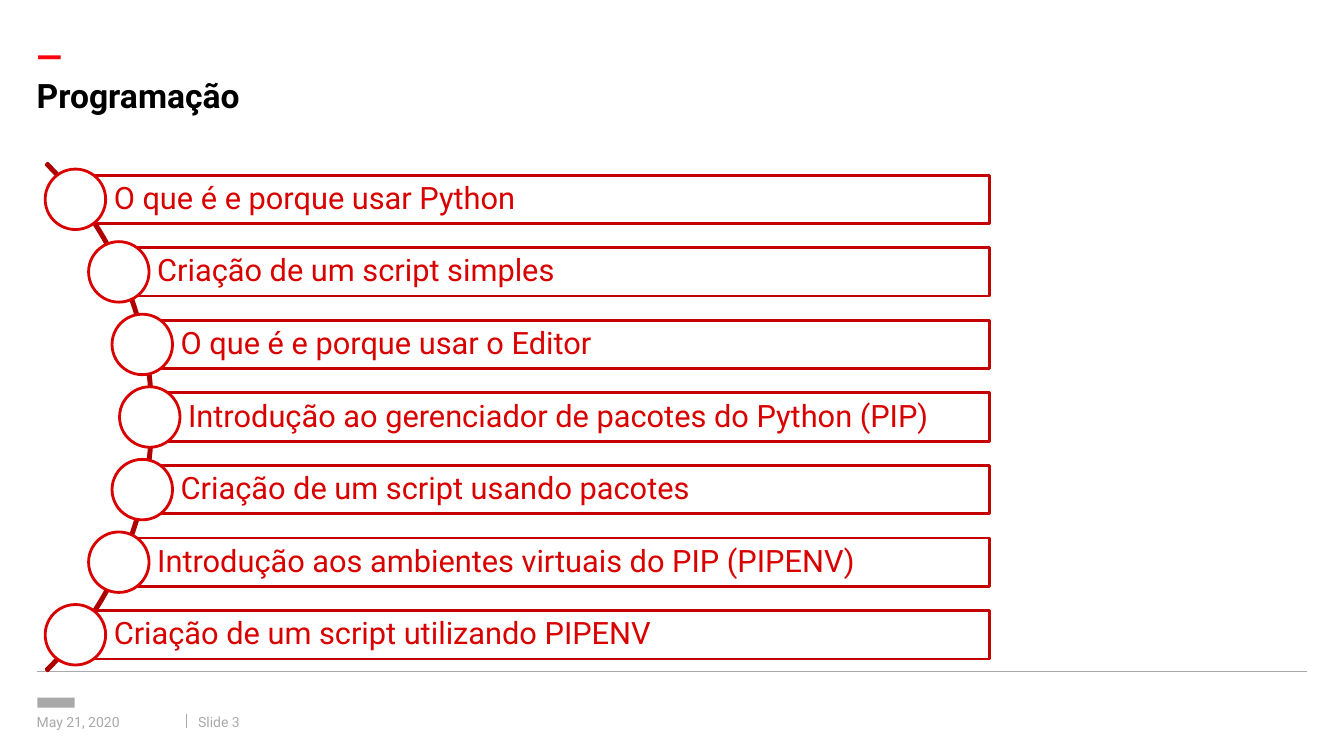
from math import sqrt

from lxml.etree import SubElement
from pptx import Presentation
from pptx.dml.color import RGBColor
from pptx.enum.shapes import MSO_CONNECTOR, MSO_SHAPE
from pptx.enum.text import MSO_ANCHOR, MSO_AUTO_SIZE, PP_ALIGN
from pptx.oxml.ns import qn
from pptx.util import Pt

FONT = "Roboto"
BLACK = RGBColor(0x00, 0x00, 0x00)
WHITE = RGBColor(0xFF, 0xFF, 0xFF)
GREY = RGBColor(0xA9, 0xA9, 0xA9)
ACCENT = RGBColor(0xFF, 0x00, 0x0F)
TOPIC_RED = RGBColor(0xD9, 0x00, 0x00)
BAR_RED = RGBColor(0xC5, 0x00, 0x00)
ARC_RED = RGBColor(0xAE, 0x00, 0x00)

TOPICS = [
    "O que é e porque usar Python",
    "Criação de um script simples",
    "O que é e porque usar o Editor",
    "Introdução ao gerenciador de pacotes do Python (PIP)",
    "Criação de um script usando pacotes",
    "Introdução aos ambientes virtuais do PIP (PIPENV)",
    "Criação de um script utilizando PIPENV",
]

ARC_X, ARC_Y = -147.2, 297.9
ARC_SIZE = 512.64
TRACK_RADIUS = 254.2
TOPIC_STEP = 51.84
BAR_RIGHT = 707.04
BAR_HEIGHT = 34.56
CIRCLE_SIZE = 43.2


def write(shape, text, size, color, bold=False, insets=(0, 0, 0, 0),
          anchor=MSO_ANCHOR.MIDDLE, spacing=1.0):
    frame = shape.text_frame
    frame.word_wrap = True
    frame.auto_size = MSO_AUTO_SIZE.NONE
    frame.vertical_anchor = anchor
    (frame.margin_left, frame.margin_top,
     frame.margin_right, frame.margin_bottom) = map(Pt, insets)
    paragraph = frame.paragraphs[0]
    paragraph.alignment = PP_ALIGN.LEFT
    paragraph.line_spacing = spacing
    run = paragraph.add_run()
    run.text = text
    run.font.name = FONT
    run.font.size = Pt(size)
    run.font.bold = bold
    run.font.color.rgb = color


def add_label(slide, text, left, top, width, height, **style):
    label = slide.shapes.add_textbox(Pt(left), Pt(top), Pt(width), Pt(height))
    write(label, text, **style)


def add_figure(slide, preset, left, top, width, height, fill=None, line=None):
    figure = slide.shapes.add_shape(
        preset, Pt(left), Pt(top), Pt(width), Pt(height))
    figure.shadow.inherit = False
    if fill is None:
        figure.fill.background()
    else:
        figure.fill.solid()
        figure.fill.fore_color.rgb = fill
    if line is None:
        figure.line.fill.background()
    else:
        figure.line.color.rgb = line
        figure.line.width = Pt(2)
    return figure


def add_rule(slide, x1, y1, x2, y2):
    rule = slide.shapes.add_connector(
        MSO_CONNECTOR.STRAIGHT, Pt(x1), Pt(y1), Pt(x2), Pt(y2))
    rule.line.color.rgb = GREY
    rule.line.width = Pt(1)
    SubElement(rule._element.spPr, qn("a:effectLst"))


def add_title(slide, text):
    title = slide.shapes.title
    title.left, title.top = Pt(26.2), Pt(53.6)
    title.width, title.height = Pt(907.2), Pt(30.96)
    write(title, text, size=24, color=BLACK, bold=True, anchor=MSO_ANCHOR.TOP)


def add_footer(slide):
    add_rule(slide, 26.64, 479.52, 933.84, 479.52)
    add_figure(slide, MSO_SHAPE.RECTANGLE, 26.64, 498.24, 26.64, 7.2, fill=GREY)
    add_rule(slide, 133.2, 509.76, 133.2, 519.84)
    add_label(slide, "May 21, 2020", 26.2, 511.2, 91.44, 9.36,
              size=10, color=GREY)
    add_label(slide, "Slide 3", 141.6, 511.2, 53.28, 9.36,
              size=10, color=GREY)


def add_arc(slide):
    arc = add_figure(slide, MSO_SHAPE.BLOCK_ARC, ARC_X - ARC_SIZE / 2,
                     ARC_Y - ARC_SIZE / 2, ARC_SIZE, ARC_SIZE, line=ARC_RED)
    for index, value in enumerate((189, 27, 0.003)):
        arc.adjustments[index] = value


def add_topic(slide, text, offset):
    x = ARC_X + sqrt(TRACK_RADIUS ** 2 - offset ** 2)
    y = ARC_Y + offset
    bar = add_figure(slide, MSO_SHAPE.RECTANGLE, x, y - BAR_HEIGHT / 2,
                     BAR_RIGHT - x, BAR_HEIGHT, fill=WHITE, line=BAR_RED)
    write(bar, text, size=22, color=TOPIC_RED,
          insets=(27.4, 4.4, 4.4, 4.4), spacing=0.9)
    add_figure(slide, MSO_SHAPE.OVAL, x - CIRCLE_SIZE / 2, y - CIRCLE_SIZE / 2,
               CIRCLE_SIZE, CIRCLE_SIZE, fill=WHITE, line=TOPIC_RED)


def main():
    deck = Presentation()
    deck.slide_width, deck.slide_height = Pt(960), Pt(540)
    slide = deck.slides.add_slide(deck.slide_layouts.get_by_name("Title Only"))
    add_footer(slide)
    add_label(slide, "—", 19, 33.84, 43.2, 12.24, size=24, color=ACCENT,
              bold=True, insets=(7.2, 3.6, 7.2, 3.6))
    add_title(slide, "Programação")
    add_arc(slide)
    middle = len(TOPICS) // 2
    for index, topic in enumerate(TOPICS):
        add_topic(slide, topic, (index - middle) * TOPIC_STEP)
    deck.save("out.pptx")


if __name__ == "__main__":
    main()
